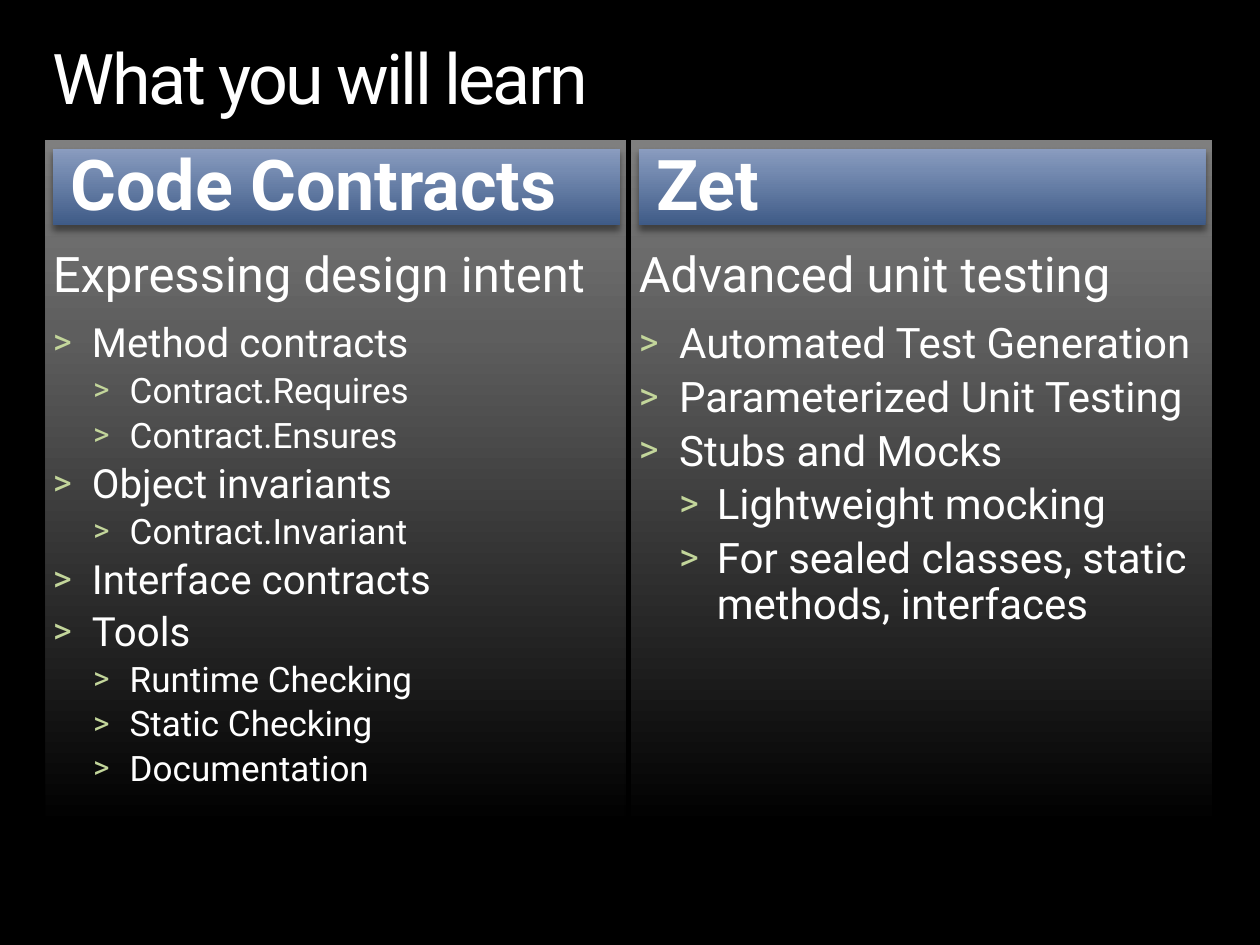
from dataclasses import dataclass

from lxml.etree import SubElement
from pptx import Presentation
from pptx.dml.color import RGBColor
from pptx.enum.shapes import MSO_SHAPE
from pptx.enum.text import MSO_ANCHOR, MSO_AUTO_SIZE, PP_ALIGN
from pptx.oxml.ns import qn
from pptx.util import Inches, Pt


@dataclass(frozen=True)
class Theme:
    font: str = "Roboto"
    back: str = "000000"
    text: str = "FFFFFF"
    mark: str = "C3D69B"
    panel: tuple = ((0, "000000"), (72, "5E5E5E"), (100, "7F7F7F"))
    band: tuple = ((0, "3F5B87"), (72, "758BB1"), (100, "8A9CBF"))
    head: int = 40
    lead: int = 28


THEME = Theme()
LEFT = 0.36
STEP = 4.65

# Each column: heading, lead, sizes and (indent, hang) by level, height, points
COLUMNS = (
    ("Code Contracts", "Expressing design intent",
     (23, 20), ((0.31, 0.31), (0.61, 0.29)), 3.85, (
         (0, "Method contracts"),
         (1, "Contract.Requires"),
         (1, "Contract.Ensures"),
         (0, "Object invariants"),
         (1, "Contract.Invariant"),
         (0, "Interface contracts"),
         (0, "Tools"),
         (1, "Runtime Checking"),
         (1, "Static Checking"),
         (1, "Documentation"))),
    ("Zet", "Advanced unit testing",
     (24, 24), ((0.32, 0.32), (0.62, 0.3)), 2.5, (
         (0, "Automated Test Generation"),
         (0, "Parameterized Unit Testing"),
         (0, "Stubs and Mocks"),
         (1, "Lightweight mocking"),
         (1, "For sealed classes, static methods, interfaces"))),
)


def node(parent, tag, **attrs):
    return SubElement(parent, qn(tag), {k: str(v) for k, v in attrs.items()})


def place(shape, left, top, width, height):
    shape.left, shape.top = Inches(left), Inches(top)
    shape.width, shape.height = Inches(width), Inches(height)


def setup(shape, anchor=MSO_ANCHOR.TOP):
    """Clear the insets and return the text frame."""
    frame = shape.text_frame
    frame.margin_left = frame.margin_right = 0
    frame.margin_top = frame.margin_bottom = 0
    frame.word_wrap = True
    frame.auto_size = MSO_AUTO_SIZE.SHAPE_TO_FIT_TEXT
    frame.vertical_anchor = anchor
    return frame


def write(para, text, size, bold=False, space=0.9):
    para.alignment = PP_ALIGN.LEFT
    para.line_spacing = space
    run = para.add_run()
    run.text = text
    font = run.font
    font.name, font.size, font.bold = THEME.font, Pt(size), bold
    font.color.rgb = RGBColor.from_string(THEME.text)
    return run


def add_box(slide, left, top, width, height, stops):
    """Add a rectangle with an upward gradient and a soft shadow."""
    box = slide.shapes.add_shape(
        MSO_SHAPE.RECTANGLE, Inches(left), Inches(top),
        Inches(width), Inches(height))
    box.line.fill.background()
    box.fill.gradient()
    grad = box._element.spPr.find(qn("a:gradFill"))
    for child in list(grad):
        grad.remove(child)
    items = node(grad, "a:gsLst")
    for pos, color in stops:
        stop = node(items, "a:gs", pos=pos * 1000)
        node(stop, "a:srgbClr", val=color)
    node(grad, "a:lin", ang=270 * 60000, scaled=0)
    effects = node(box._element.spPr, "a:effectLst")
    shadow = node(effects, "a:outerShdw", blurRad=Pt(4), dist=Pt(3),
                  dir=90 * 60000, algn="ctr", rotWithShape=0)
    color = node(shadow, "a:srgbClr", val="000000")
    node(color, "a:alpha", val=43000)
    return box


def add_text(slide, left, top, width, height):
    box = slide.shapes.add_textbox(
        Inches(left), Inches(top), Inches(width), Inches(height))
    return setup(box)


def add_mark(para, level, indent, hang):
    para.level = level
    props = para._p.get_or_add_pPr()
    props.set("marL", str(Inches(indent)))
    props.set("indent", str(-Inches(hang)))
    node(node(props, "a:spcBef"), "a:spcPct", val=20000)
    node(node(props, "a:buClr"), "a:srgbClr", val=THEME.mark)
    node(props, "a:buSzPct", val=90000)
    node(props, "a:buFont", typeface=THEME.font)
    node(props, "a:buChar", char=">")


def add_title(slide, text):
    title = slide.shapes.title
    place(title, 0.42, 0.35, 9.17, 0.61)
    run = write(setup(title).paragraphs[0], text, THEME.head)
    run._r.get_or_add_rPr().set("spc", "-150")


def add_column(slide, left, column):
    head, lead, sizes, indents, height, points = column
    inner = left + 0.06
    add_box(slide, left, 1.11, 4.61, 5.45, THEME.panel)
    band = add_box(slide, inner, 1.18, 4.5, 0.61, THEME.band)
    frame = setup(band, MSO_ANCHOR.BOTTOM)
    write(frame.paragraphs[0], " " + head, THEME.head, bold=True)
    frame = add_text(slide, inner, 1.93, 4.43, 0.47)
    write(frame.paragraphs[0], lead, THEME.lead, space=1.0)
    frame = add_text(slide, inner, 2.56, 4.5, height)
    for i, (level, text) in enumerate(points):
        para = frame.add_paragraph() if i else frame.paragraphs[0]
        write(para, text, sizes[level])
        add_mark(para, level, *indents[level])


def main():
    deck = Presentation()
    deck.slide_width, deck.slide_height = Inches(10), Inches(7.5)
    slide = deck.slides.add_slide(deck.slide_layouts[5])
    fill = slide.background.fill
    fill.solid()
    fill.fore_color.rgb = RGBColor.from_string(THEME.back)
    add_title(slide, "What you will learn")
    for i, column in enumerate(COLUMNS):
        add_column(slide, LEFT + i * STEP, column)
    deck.save("out.pptx")


if __name__ == "__main__":
    main()
